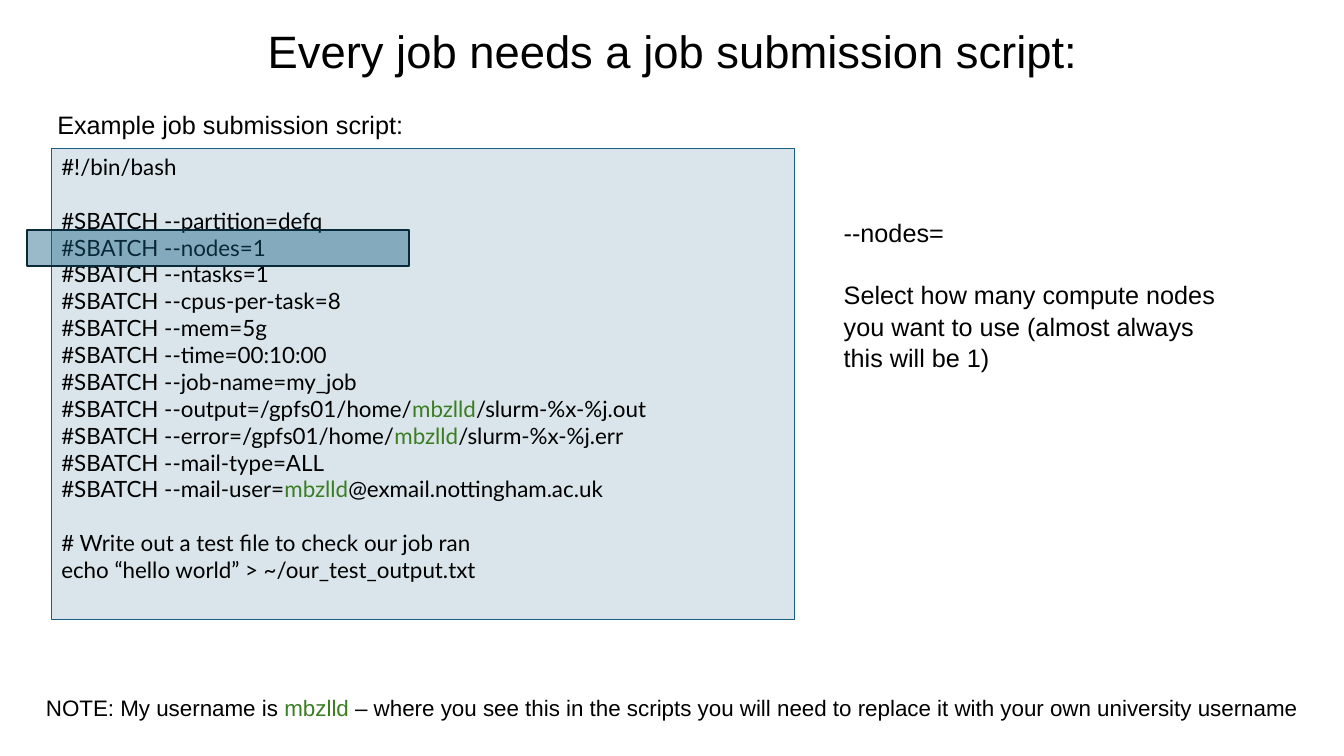
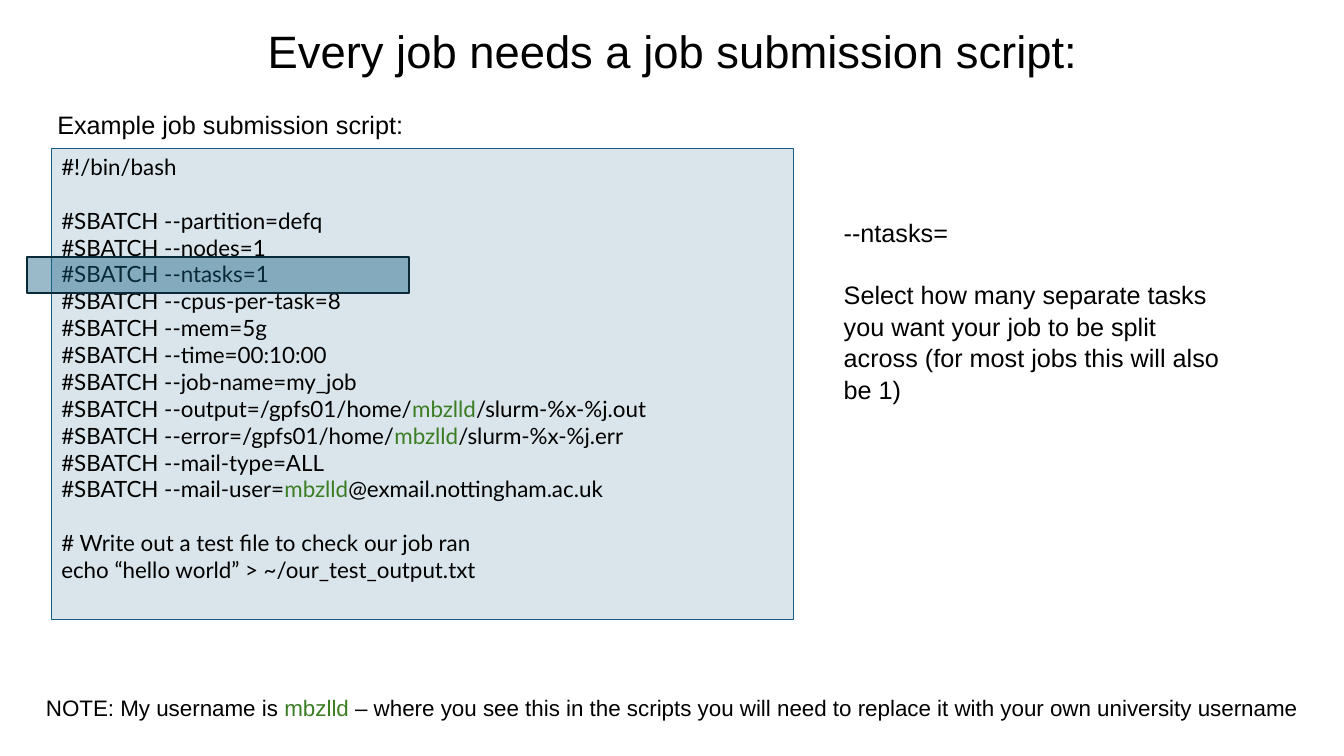
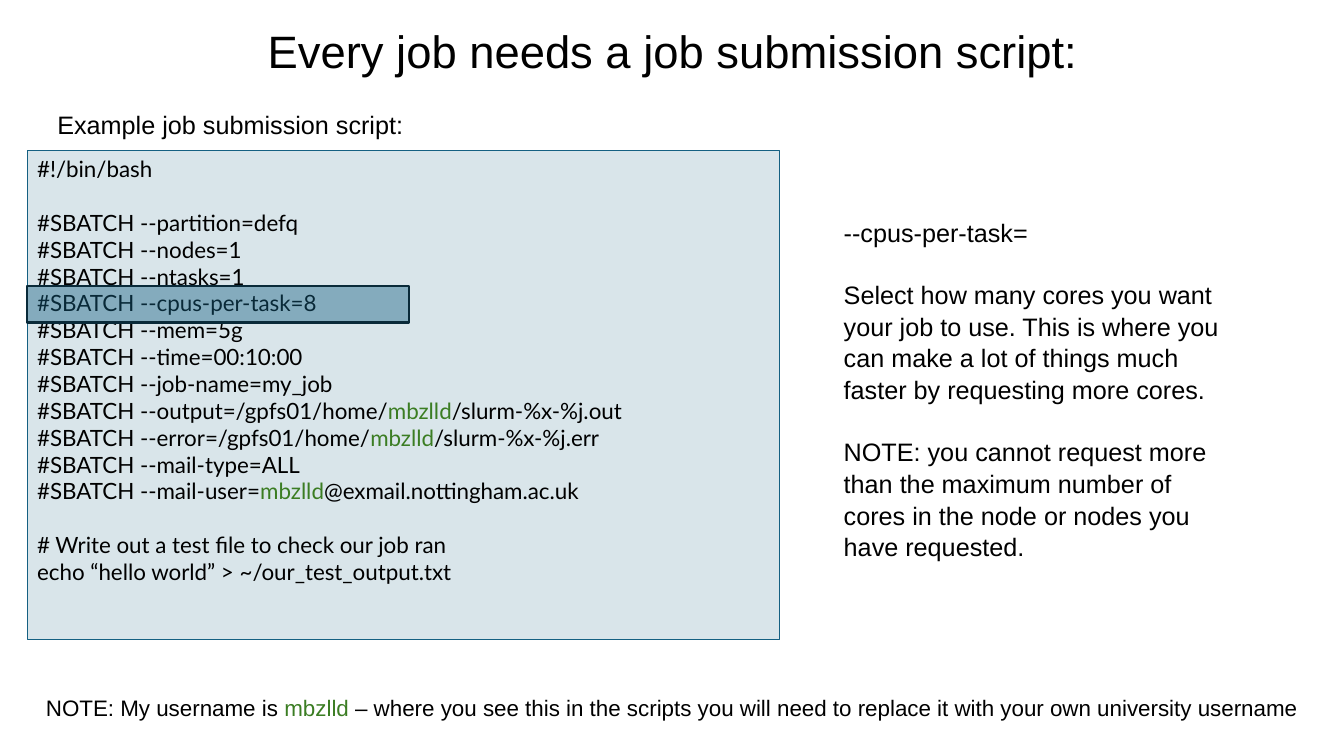
from pptx import Presentation
from pptx.dml.color import RGBColor
from pptx.enum import shapes, text
from pptx.oxml import ns, xmlchemy
from pptx.util import Inches, Pt

COLORS = {"text": "000000", "username": "3B7D23", "panel": "156082", "outline": "092A39"}
USERNAME = "mbzlld"
LINE_HEIGHT = 0.27
CODE_GAP = 19.2
BODY_GAP = 21.6

SCRIPT_BLOCKS = [
    ["#!/bin/bash"],
    [
        "#SBATCH --partition=defq",
        "#SBATCH --nodes=1",
        "#SBATCH --ntasks=1",
        "#SBATCH --cpus-per-task=8",
        "#SBATCH --mem=5g",
        "#SBATCH --time=00:10:00",
        "#SBATCH --job-name=my_job",
        "#SBATCH --output=/gpfs01/home/mbzlld/slurm-%x-%j.out",
        "#SBATCH --error=/gpfs01/home/mbzlld/slurm-%x-%j.err",
        "#SBATCH --mail-type=ALL",
        "#SBATCH --mail-user=mbzlld@exmail.nottingham.ac.uk",
    ],
    [
        "# Write out a test file to check our job ran",
        "echo “hello world” > ~/our_test_output.txt",
    ],
]

# Script panel position, highlighted line (counted from 0) and explanation
OPTIONS = [
    ((0.51, 1.47, 7.37, 4.68), 3, [
        "--nodes=",
        "Select how many compute nodes you want to use (almost always this will be 1)",
    ]),
    ((0.51, 1.47, 7.36, 4.68), 4, [
        "--ntasks=",
        "Select how many separate tasks you want your job to be split across "
        "(for most jobs this will also be 1)",
    ]),
    ((0.27, 1.49, 7.46, 4.85), 5, [
        "--cpus-per-task=",
        "Select how many cores you want your job to use. This is where you can make "
        "a lot of things much faster by requesting more cores.",
        "NOTE: you cannot request more than the maximum number of cores in the node "
        "or nodes you have requested.",
    ]),
]


def color(name):
    return RGBColor.from_string(COLORS[name])


class Deck:
    def __init__(self):
        self.presentation = Presentation()
        self.presentation.slide_width = Inches(13.33)
        self.presentation.slide_height = Inches(7.5)
        self.slide = None

    def add_slide(self):
        self.slide = self.presentation.slides.add_slide(self.presentation.slide_layouts[6])

    def fill_text(self, frame, blocks, size, gap=0, font="Arial", spacing=1.05,
                  align=text.PP_ALIGN.LEFT):
        """Set blocks of lines, a gap apart, with the username in its own colour."""
        lines = [(line, index > 0 and position == 0)
                 for index, block in enumerate(blocks)
                 for position, line in enumerate(block)]
        for number, (line, after_gap) in enumerate(lines):
            paragraph = frame.add_paragraph() if number else frame.paragraphs[0]
            paragraph.alignment = align
            paragraph.line_spacing = spacing
            if after_gap:
                paragraph.space_before = Pt(gap)
            paragraph.font.name = font
            paragraph.font.size = Pt(size)
            paragraph.font.color.rgb = color("text")
            for part in filter(None, line.partition(USERNAME)):
                run = paragraph.add_run()
                run.text = part
                if part == USERNAME:
                    run.font.color.rgb = color("username")

    def text_box(self, box, blocks, size, anchor=text.MSO_ANCHOR.TOP, wrap=True, **style):
        frame = self.slide.shapes.add_textbox(*map(Inches, box)).text_frame
        frame.word_wrap = wrap
        frame.vertical_anchor = anchor
        self.fill_text(frame, blocks, size, **style)

    def panel(self, box, opacity, line, width):
        """Add a rectangle with a see-through fill; opacity is in percent."""
        shape = self.slide.shapes.add_shape(shapes.MSO_SHAPE.RECTANGLE, *map(Inches, box))
        shape.shadow.inherit = False
        shape.fill.solid()
        shape.fill.fore_color.rgb = color("panel")
        fill = shape.element.spPr.find(ns.qn("a:solidFill"))
        alpha = xmlchemy.OxmlElement("a:alpha")
        alpha.set("val", str(opacity * 1000))
        fill[0].append(alpha)
        shape.line.color.rgb = color(line)
        shape.line.width = Pt(width)
        return shape

    def script(self, box):
        frame = self.panel(box, 16, "panel", 0.75).text_frame
        frame.word_wrap = True
        frame.vertical_anchor = text.MSO_ANCHOR.TOP
        self.fill_text(frame, SCRIPT_BLOCKS, 16, CODE_GAP, font="Lato", spacing=1.0)

    def highlight(self, script_top, line_number):
        top = script_top + LINE_HEIGHT * line_number
        self.panel((0.27, top, 3.79, 0.36), 43, "outline", 1.5)

    def title(self, line):
        self.text_box((1.67, 0.22, 10, 0.61), [[line]], 32.4, text.MSO_ANCHOR.BOTTOM,
                      spacing=0.9, align=text.PP_ALIGN.CENTER)

    def footer(self, line):
        self.text_box((0, 6.82, 13.33, 0.37), [[line]], 16, align=text.PP_ALIGN.CENTER)


def main():
    deck = Deck()
    for script_box, line_number, explanation in OPTIONS:
        deck.add_slide()
        deck.title("Every job needs a job submission script:")
        deck.script(script_box)
        deck.text_box((0.47, 1.02, 3.67, 0.4), [["Example job submission script:"]], 18,
                      wrap=False)
        deck.highlight(script_box[1], line_number)
        deck.text_box((8.27, 2.09, 3.94, 1.92), [[line] for line in explanation], 18,
                      gap=BODY_GAP)
        deck.footer(f"NOTE: My username is {USERNAME} – where you see this in the scripts "
                    "you will need to replace it with your own university username")
    deck.presentation.save("out.pptx")


if __name__ == "__main__":
    main()
